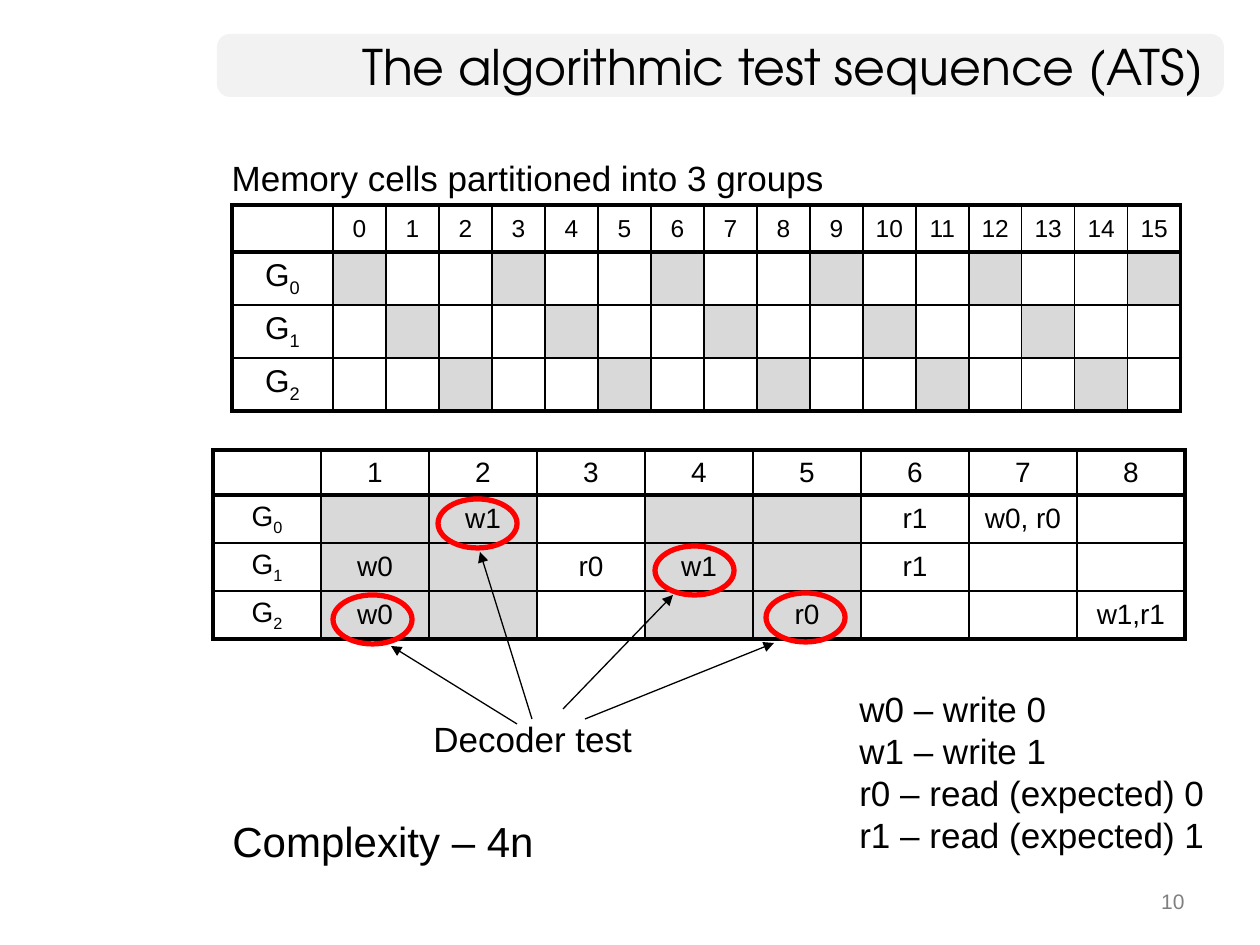
import dataclasses
import pptx
import pptx.util
import pptx.dml.color
import pptx.enum.shapes
import pptx.enum.text
import pptx.oxml
import pptx.oxml.ns

ALIGN = pptx.enum.text.PP_ALIGN
ANCHOR = pptx.enum.text.MSO_ANCHOR
SHAPE = pptx.enum.shapes.MSO_SHAPE


@dataclasses.dataclass(frozen=True)
class Theme:
    head: str = "TeX Gyre Adventor"
    body: str = "Arial"
    ink: str = "000000"
    muted: str = "808080"
    bar: str = "F2F2F2"
    shade: str = "D9D9D9"
    ring: str = "FF0000"
    title: int = 28
    large: int = 24
    text: int = 20
    group: int = 18
    step: int = 16
    index: int = 14
    small: int = 12
    thin: float = 1
    thick: float = 2.25


THEME = Theme()


def px(count):
    return round(count * 914400 / 126)


def color(code):
    return pptx.dml.color.RGBColor.from_string(code)


def place(shape, box):
    shape.left, shape.top, shape.width, shape.height = map(px, box)


def add_run(par, text, size, tint=THEME.ink, font=THEME.body, sub=False):
    run = par.add_run()
    run.text = text
    run.font.size = pptx.util.Pt(size)
    run.font.name = font
    run.font.color.rgb = color(tint)
    if sub:
        run._r.get_or_add_rPr().set("baseline", "-25000")


def add_text(slide, box, lines, size, tint=THEME.ink, align=ALIGN.LEFT):
    frame = slide.shapes.add_textbox(*map(px, box)).text_frame
    frame.word_wrap = False
    for row, line in enumerate(lines):
        par = frame.add_paragraph() if row else frame.paragraphs[0]
        par.alignment = align
        add_run(par, line, size, tint)


def add_title(slide, text):
    bar = slide.shapes.add_shape(SHAPE.ROUNDED_RECTANGLE, *map(px, (217, 34, 1007, 63)))
    bar.adjustments[0] = 0.21
    bar.shadow.inherit = False
    bar.fill.solid()
    bar.fill.fore_color.rgb = color(THEME.bar)
    bar.line.fill.background()
    slide.shapes._spTree.insert(2, bar._element)
    title = slide.shapes.title
    place(title, (217, 34, 999, 63))
    title.text_frame.vertical_anchor = ANCHOR.MIDDLE
    par = title.text_frame.paragraphs[0]
    par.alignment = ALIGN.RIGHT
    add_run(par, text, THEME.title, font=THEME.head)


def add_body(slide, text):
    body = slide.placeholders[1]
    place(body, (219, 150, 919, 62))
    par = body.text_frame.paragraphs[0]
    props = par._p.get_or_add_pPr()
    props.set("marL", str(px(48)))
    props.set("indent", str(px(-48)))
    pptx.oxml.ns.qn("a:buNone")
    props.append(pptx.oxml.parse_xml(
        f'<a:buNone {pptx.oxml.ns.nsdecls("a")}/>'))
    par.space_before = pptx.util.Pt(0)
    add_run(par, text, THEME.text)


def set_edge(cell, side, width):
    cell._tc.get_or_add_tcPr().append(pptx.oxml.parse_xml(
        f'<a:ln{side} {pptx.oxml.ns.nsdecls("a")} w="{pptx.util.Pt(width)}">'
        f'<a:solidFill><a:srgbClr val="{THEME.ink}"/></a:solidFill></a:ln{side}>'))


def fill_cell(cell, runs, size, shaded):
    cell.vertical_anchor = ANCHOR.MIDDLE
    cell.margin_left = cell.margin_right = px(7)
    cell.margin_top = cell.margin_bottom = px(3)
    par = cell.text_frame.paragraphs[0]
    par.alignment = ALIGN.CENTER
    for place_no, text in enumerate(runs):
        add_run(par, text, size, sub=place_no > 0)
    if shaded:
        cell.fill.solid()
        cell.fill.fore_color.rgb = color(THEME.shade)
    else:
        cell.fill.background()


def add_grid(slide, origin, widths, heights, words, sizes, is_dark):
    rows, cols = len(heights), len(widths)
    frame = slide.shapes.add_table(
        rows, cols, *map(px, (*origin, sum(widths), sum(heights))))
    table = frame.table
    table.first_row = table.horz_banding = False
    for col, width in zip(table.columns, widths):
        col.width = px(width)
    for row, height in zip(table.rows, heights):
        row.height = px(height)
    for r in range(rows):
        for c in range(cols):
            cell = table.cell(r, c)
            heavy = {"L": c == 0, "R": c == cols - 1,
                     "T": r < 2, "B": r in (0, rows - 1)}
            for side, thick in heavy.items():
                set_edge(cell, side, THEME.thick if thick else THEME.thin)
            runs = ("G", str(r - 1)) if r and not c else (words.get((r, c), ""),)
            fill_cell(cell, [run for run in runs if run],
                      sizes[r > 0], r > 0 and c > 0 and is_dark(r, c))


def add_arrow(slide, start, end):
    line = slide.shapes.add_connector(
        pptx.enum.shapes.MSO_CONNECTOR.STRAIGHT, *map(px, (*start, *end)))
    line.line.color.rgb = color(THEME.ink)
    line.line.width = pptx.util.Pt(0.75)
    space = pptx.oxml.ns.nsdecls("a")
    line.line._get_or_add_ln().append(
        pptx.oxml.parse_xml(f'<a:tailEnd {space} type="triangle"/>'))
    line._element.spPr.append(pptx.oxml.parse_xml(f'<a:effectLst {space}/>'))


def add_ring(slide, left, top):
    ring = slide.shapes.add_shape(SHAPE.OVAL, *map(px, (left, top, 79, 49)))
    ring.shadow.inherit = False
    ring.fill.background()
    ring.line.color.rgb = color(THEME.ring)
    ring.line.width = pptx.util.Pt(3)


def main():
    deck = pptx.Presentation()
    deck.slide_width, deck.slide_height = px(1260), px(945)
    slide = deck.slides.add_slide(deck.slide_layouts[1])
    add_title(slide, "The algorithmic test sequence (ATS)")
    add_body(slide, "Memory cells partitioned into 3 groups")
    add_text(slide, (903, 882, 294, 44), ["10"], THEME.small, THEME.muted, ALIGN.RIGHT)

    cells = {(0, c + 1): str(c) for c in range(16)}
    add_grid(slide, (232, 205), [101] + [53] * 16, [47] + [53] * 3, cells,
             (THEME.index, THEME.group), lambda r, c: c % 3 == r % 3)

    steps = {(0, c): str(c) for c in range(1, 9)}
    steps |= {(1, 2): "w1", (1, 6): "r1", (1, 7): "w0, r0",
              (2, 1): "w0", (2, 3): "r0", (2, 4): "w1", (2, 6): "r1",
              (3, 1): "w0", (3, 5): "r0", (3, 8): "w1,r1"}
    add_grid(slide, (213, 450), [108] * 9, [45] + [48] * 3, steps,
             (THEME.step, THEME.step), lambda r, c: c in (1, 2, 4, 5))

    add_text(slide, (421, 711, 226, 55), ["Decoder test"], THEME.text)
    for start, end in (((517, 724), (391, 646)), ((532, 719), (480, 552)),
                       ((585, 719), (774, 643)), ((563, 709), (673, 595))):
        add_arrow(slide, start, end)
    for left, top in ((333, 595), (438, 499), (655, 546), (766, 593)):
        add_ring(slide, left, top)

    add_text(slide, (220, 809, 330, 63), ["Complexity – 4n"], THEME.large)
    add_text(slide, (847, 681, 375, 183),
             ["w0 – write 0", "w1 – write 1",
              "r0 – read (expected) 0", "r1 – read (expected) 1"], THEME.text)
    deck.save("out.pptx")


if __name__ == "__main__":
    main()
